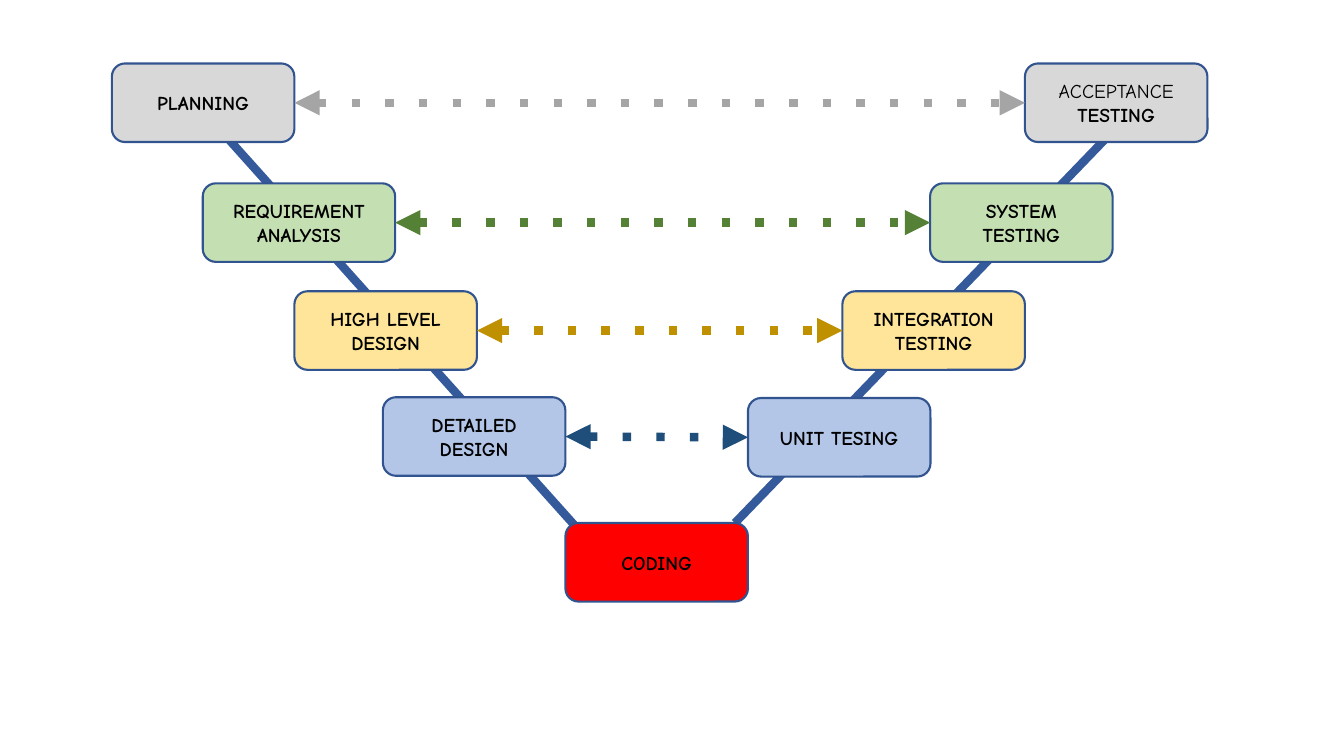
from lxml import etree
from pptx import Presentation
from pptx.dml.color import RGBColor
from pptx.enum import shapes, text
from pptx.oxml import ns
from pptx.util import Cm, Pt

THEME = {
    "font": {"name": "Comic Neue", "size": Pt(14), "bold": True},
    "text": "000000",
    "outline": "31538F",
    "outline_width": Pt(1.5),
    "arm": "355A9B",
    "line_width": Pt(6),
    "coding": "FF0000",
}
BOX_WIDTH, BOX_HEIGHT = 4.6, 1.98

# Each level: fill, arrow colour, then (left, top, width, text runs) for both arms
LEVELS = [
    ("D8D8D8", "A5A5A5",
     (2.82, 1.6, BOX_WIDTH, [("PLANNING", True)]),
     (25.83, 1.6, BOX_WIDTH, [("ACCEPTANCE", False), (" TESTING", True)])),
    ("C4E0B2", "548135",
     (5.11, 4.62, 4.85, [("REQUIREMENT ANALYSIS", True)]),
     (23.44, 4.62, BOX_WIDTH, [("SYSTEM TESTING", True)])),
    ("FEE599", "BF9000",
     (7.42, 7.34, BOX_WIDTH, [("HIGH LEVEL DESIGN", True)]),
     (21.23, 7.34, BOX_WIDTH, [("INTEGRATION TESTING", True)])),
    ("B3C6E7", "1E4E79",
     (9.65, 10.01, BOX_WIDTH, [("DETAILED DESIGN", True)]),
     (18.85, 10.03, BOX_WIDTH, [("UNIT TESING", True)])),
]
CODING = (14.25, 13.18, BOX_WIDTH, [("CODING", True)])
ARMS = [(28.07, 3.28, 18.52, 13.18), (4.67, 2.29, 16.05, 14.99)]

deck = Presentation()
deck.slide_width, deck.slide_height = Cm(33.87), Cm(19.05)
page = deck.slides.add_slide(deck.slide_layouts[6])


def add_line(ends, color):
    """Draw a thick straight line without a shadow and return it."""
    line = page.shapes.add_connector(
        shapes.MSO_CONNECTOR.STRAIGHT, *[Cm(value) for value in ends])
    line.line.color.rgb = RGBColor.from_string(color)
    line.line.width = THEME["line_width"]
    etree.SubElement(line._element.spPr, ns.qn("a:effectLst"))
    return line


def add_stage(stage, fill):
    """Draw one rounded box with its centred label."""
    left, top, width, runs = stage
    box = page.shapes.add_shape(
        shapes.MSO_SHAPE.ROUNDED_RECTANGLE,
        Cm(left), Cm(top), Cm(width), Cm(BOX_HEIGHT))
    box.shadow.inherit = False
    box.fill.solid()
    box.fill.fore_color.rgb = RGBColor.from_string(fill)
    box.line.color.rgb = RGBColor.from_string(THEME["outline"])
    box.line.width = THEME["outline_width"]
    box.text_frame.word_wrap = True
    box.text_frame.vertical_anchor = text.MSO_ANCHOR.MIDDLE
    para = box.text_frame.paragraphs[0]
    para.alignment = text.PP_ALIGN.CENTER
    for words, bold in runs:
        span = para.add_run()
        span.text = words
        for name, value in {**THEME["font"], "bold": bold}.items():
            setattr(span.font, name, value)
        span.font.color.rgb = RGBColor.from_string(THEME["text"])


# Arms of the V, behind the boxes
for arm in ARMS:
    add_line(arm, THEME["arm"])

# Development and testing stages
for fill, _, development, testing in LEVELS:
    add_stage(development, fill)
    add_stage(testing, fill)
add_stage(CODING, THEME["coding"])

# Dotted double arrows between matching stages
for _, color, development, testing in LEVELS:
    left, top, width, _ = development
    arrow = add_line((left + width, top + BOX_HEIGHT / 2,
                      testing[0], testing[1] + BOX_HEIGHT / 2), color)
    outline = arrow.line._get_or_add_ln()
    etree.SubElement(outline, ns.qn("a:prstDash"), val="dot")
    for end in ("a:headEnd", "a:tailEnd"):
        etree.SubElement(outline, ns.qn(end), type="triangle")

deck.save("out.pptx")
